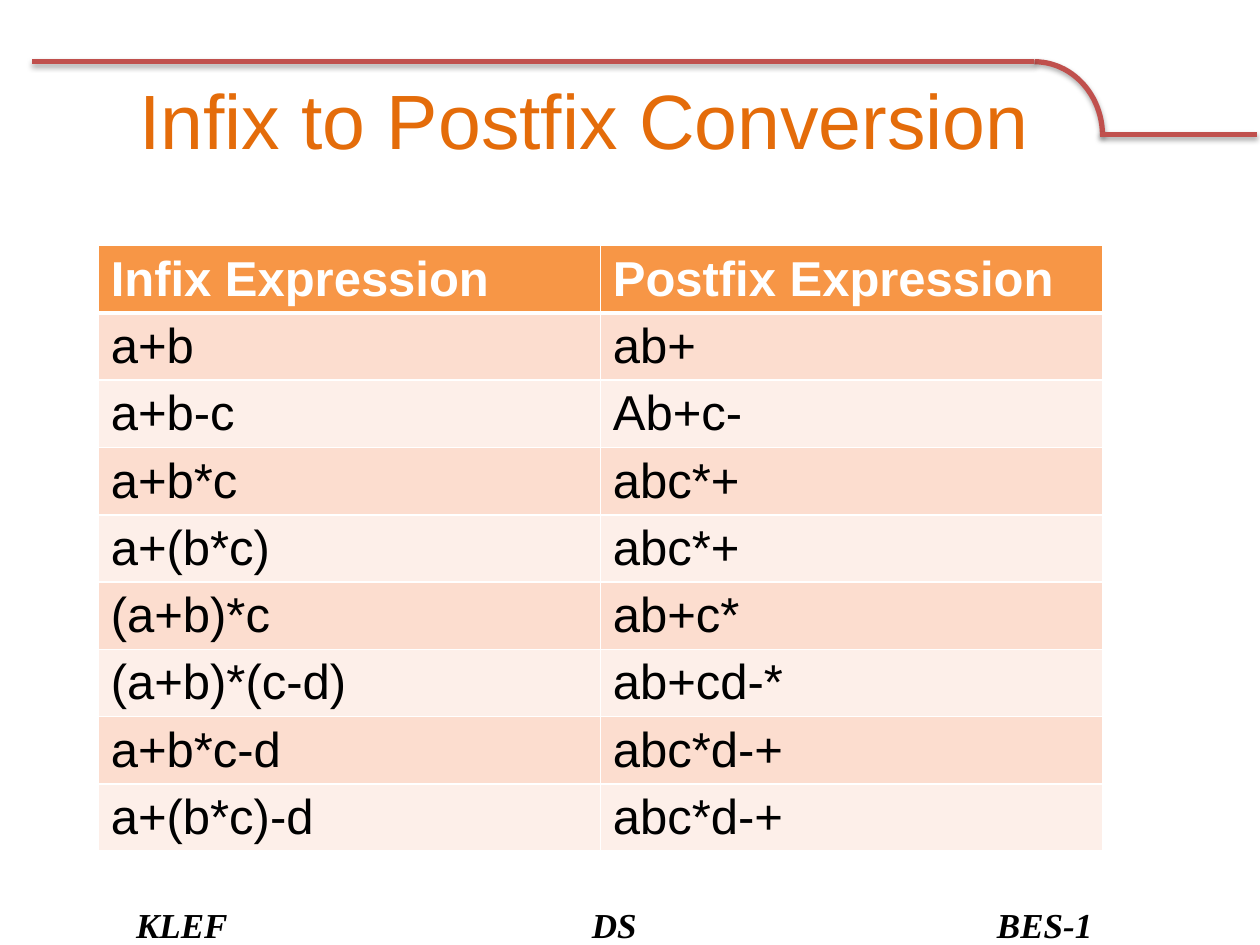
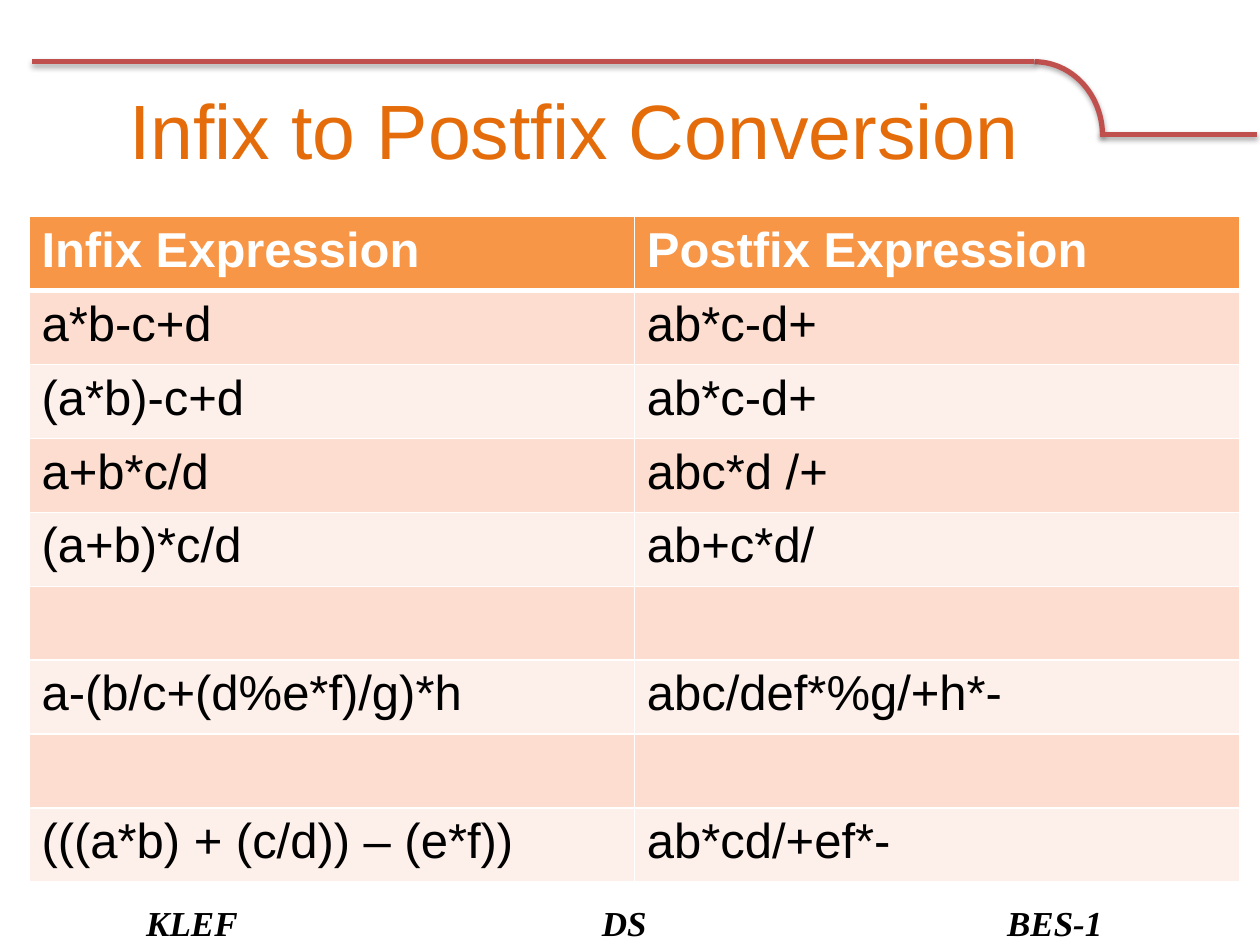
from pptx import Presentation
from pptx.dml.color import RGBColor
from pptx.enum.shapes import MSO_CONNECTOR, MSO_SHAPE
from pptx.enum.text import MSO_ANCHOR, MSO_AUTO_SIZE, PP_ALIGN
from pptx.oxml import parse_xml
from pptx.oxml.ns import nsdecls
from pptx.util import Inches, Pt

TITLE = "Infix to Postfix Conversion"
HEADER = ("Infix Expression", "Postfix Expression")
FOOTER = ("KLEF", "DS", "BES-1")
SLIDES = [
    {
        "title_at": (0.39, 0.47), "table_at": (0.78, 1.95, 7.97, 4.8),
        "footer_at": (1.08, 7.19),
        "rows": [
            ("a+b", "ab+"),
            ("a+b-c", "Ab+c-"),
            ("a+b*c", "abc*+"),
            ("a+(b*c)", "abc*+"),
            ("(a+b)*c", "ab+c*"),
            ("(a+b)*(c-d)", "ab+cd-*"),
            ("a+b*c-d", "abc*d-+"),
            ("a+(b*c)-d", "abc*d-+"),
        ],
    },
    {
        "title_at": (0.31, 0.55), "table_at": (0.23, 1.72, 9.61, 5.28),
        "footer_at": (1.16, 7.17),
        "rows": [
            ("a*b-c+d", "ab*c-d+"),
            ("(a*b)-c+d", "ab*c-d+"),
            ("a+b*c/d", "abc*d /+"),
            ("(a+b)*c/d", "ab+c*d/"),
            ("", ""),
            ("a-(b/c+(d%e*f)/g)*h", "abc/def*%g/+h*-"),
            ("", ""),
            ("(((a*b) + (c/d)) – (e*f))", "ab*cd/+ef*-"),
        ],
    },
]

WHITE = RGBColor(0xFF, 0xFF, 0xFF)
BLACK = RGBColor(0x00, 0x00, 0x00)
RED = RGBColor(0xC0, 0x50, 0x4D)
TITLE_ORANGE = RGBColor(0xE4, 0x6C, 0x0A)
HEADER_ORANGE = RGBColor(0xF7, 0x96, 0x46)
BANDS = (RGBColor(0xFD, 0xEF, 0xE9), RGBColor(0xFC, 0xDD, 0xCF))

TITLE_FONT = {"name": "Arial", "size": Pt(44), "bold": False}
HEADER_FONT = {"name": "Arial", "size": Pt(28), "bold": True}
CELL_FONT = {**HEADER_FONT, "bold": False}
FOOTER_FONT = {"name": "Times New Roman", "size": Pt(20), "bold": True, "italic": True}

TITLE_SIZE = (8.5, 0.94)
FOOTER_SIZE = (7.59, 0.3)
RULE_TOP, RULE_BOTTOM = 0.49, 1.07
ARC = (7.67, RULE_TOP, 1.08, 1.17)
RULES = [(8.73, RULE_BOTTOM, 9.98, RULE_BOTTOM), (8.21, RULE_TOP, 0.25, RULE_TOP)]


def inches(values):
    return [Inches(v) for v in values]


def set_font(font, formats, color):
    for name, value in formats.items():
        setattr(font, name, value)
    font.color.rgb = color


def draw_rule(slide, layout):
    """Draw the curved red rule, then move it to the layout both slides use."""
    shapes = slide.shapes
    arc = shapes.add_shape(MSO_SHAPE.ARC, *inches(ARC))
    arc.fill.background()
    lines = [shapes.add_connector(MSO_CONNECTOR.STRAIGHT, *inches(r)) for r in RULES]
    for sp in (arc, *lines):
        sp.line.color.rgb = RED
        sp.line.width = Pt(3)
        sp.element.spPr.append(parse_xml(
            f'<a:effectLst {nsdecls("a")}><a:outerShdw blurRad="{Pt(3.1)}" '
            f'dist="{Pt(1.8)}" dir="5400000" rotWithShape="0"><a:srgbClr val="{BLACK}">'
            '<a:alpha val="35000"/></a:srgbClr></a:outerShdw></a:effectLst>'))
        layout.element.cSld.spTree.append(sp.element)


def set_title(slide, at):
    sp = slide.shapes.title
    sp.left, sp.top, sp.width, sp.height = inches(at + TITLE_SIZE)
    tf = sp.text_frame
    tf.text = TITLE
    tf.auto_size = MSO_AUTO_SIZE.NONE
    tf.vertical_anchor = MSO_ANCHOR.MIDDLE
    p = tf.paragraphs[0]
    p.alignment = PP_ALIGN.CENTER
    set_font(p.runs[0].font, TITLE_FONT, TITLE_ORANGE)


def set_borders(cell, row):
    top, bottom = (3 if row == n else 1 for n in (1, 0))
    for side, width in zip("LRTB", (1, 1, top, bottom)):
        cell._tc.get_or_add_tcPr().append(parse_xml(
            f'<a:ln{side} {nsdecls("a")} w="{Pt(width)}"><a:solidFill>'
            f'<a:srgbClr val="{WHITE}"/></a:solidFill></a:ln{side}>'))


def add_expressions(slide, at, rows):
    rows = [HEADER, *rows]
    table = slide.shapes.add_table(len(rows), len(HEADER), *inches(at)).table
    for i, row in enumerate(rows):
        table.rows[i].height = Inches(at[3] / len(rows))
        for j, text in enumerate(row):
            cell = table.cell(i, j)
            set_borders(cell, i)
            cell.fill.solid()
            cell.fill.fore_color.rgb = BANDS[i % 2] if i else HEADER_ORANGE
            p = cell.text_frame.paragraphs[0]
            if text:
                r = p.add_run()
                r.text = text
                set_font(r.font, CELL_FONT if i else HEADER_FONT, BLACK if i else WHITE)


def add_footer(slide, at):
    """Place the three labels left, centred and right by means of tab stops."""
    width = FOOTER_SIZE[0]
    tf = slide.shapes.add_textbox(*inches(at + FOOTER_SIZE)).text_frame
    tf.word_wrap = True
    tf.vertical_anchor = MSO_ANCHOR.MIDDLE
    for side in ("left", "right", "top", "bottom"):
        setattr(tf, f"margin_{side}", 0)
    p = tf.paragraphs[0]
    p._p.get_or_add_pPr().append(parse_xml(
        f'<a:tabLst {nsdecls("a")}><a:tab pos="{Inches(width / 2)}" algn="ctr"/>'
        f'<a:tab pos="{Inches(width)}" algn="r"/></a:tabLst>'))
    r = p.add_run()
    r.text = "\t".join(FOOTER)
    set_font(r.font, FOOTER_FONT, BLACK)


def main():
    prs = Presentation()
    prs.slide_width, prs.slide_height = inches((10, 7.5))
    layout = prs.slide_layouts[5]
    for i, content in enumerate(SLIDES):
        slide = prs.slides.add_slide(layout)
        if i == 0:
            draw_rule(slide, layout)
        set_title(slide, content["title_at"])
        add_expressions(slide, content["table_at"], content["rows"])
        add_footer(slide, content["footer_at"])
    prs.save("out.pptx")


if __name__ == "__main__":
    main()
